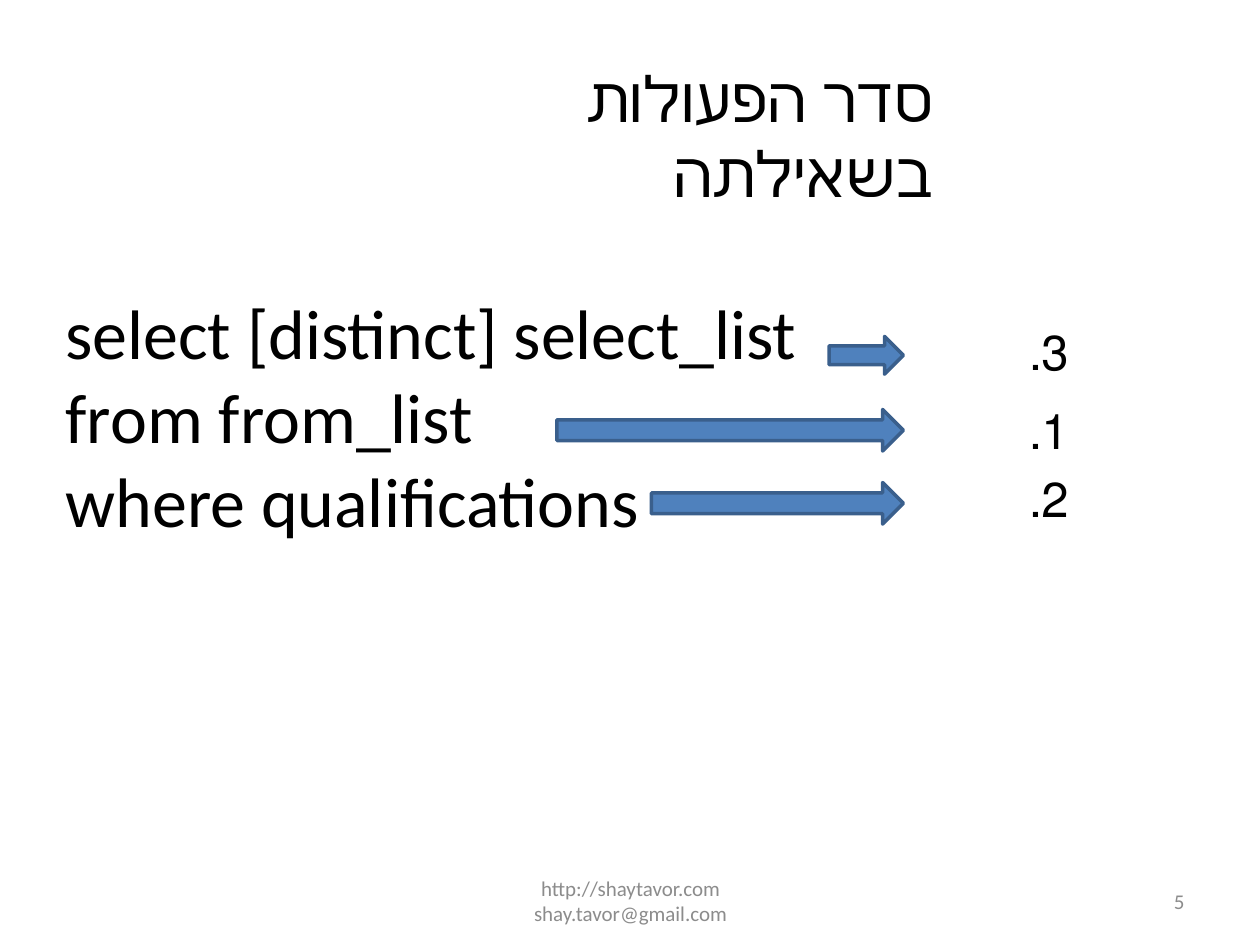
import pptx
import pptx.util
import pptx.dml.color
import pptx.enum.shapes
import pptx.enum.text
from lxml import etree

Inches, Pt = pptx.util.Inches, pptx.util.Pt
RGB = pptx.dml.color.RGBColor.from_string
ALIGN = pptx.enum.text.PP_ALIGN
ANCHOR = pptx.enum.text.MSO_ANCHOR
COLORS = {"text": "000000", "footer": "8C8C8C", "arrow": "4F81BD", "outline": "3A5F8C"}


def place(sp, x, y, w, h):
    sp.left, sp.top, sp.width, sp.height = map(Inches, (x, y, w, h))


def write(sp, lines, size, align, color="text", anchor=ANCHOR.TOP, rtl=False):
    tf = sp.text_frame
    frame = {"word_wrap": True, "vertical_anchor": anchor,
             "auto_size": pptx.enum.text.MSO_AUTO_SIZE.NONE}
    for name, value in frame.items():
        setattr(tf, name, value)
    tf.text = "\n".join(lines)
    for p in tf.paragraphs:
        p.alignment = align
        p.space_before = Pt(0)
        pPr = p._p.get_or_add_pPr()
        for name in ("marL", "indent"):
            pPr.set(name, "0")
        if rtl:
            pPr.set("rtl", "1")
        etree.SubElement(pPr, pptx.oxml.ns.qn("a:buNone"))
        font = p.runs[0].font
        for name, value in {"name": "Calibri", "size": Pt(size)}.items():
            setattr(font, name, value)
        font.color.rgb = RGB(COLORS[color])


prs = pptx.Presentation()
prs.slide_width, prs.slide_height = Inches(10), Inches(7.5)
s = prs.slides.add_slide(prs.slide_layouts[1])

title, query = s.placeholders
place(title, 2.67, 0.42, 4.83, 0.71)
write(title, ["סדר הפעולות בשאילתה"], 36, ALIGN.RIGHT, rtl=True)

place(query, 0.42, 2.25, 6.58, 2.42)
write(query, ["select [distinct] select_list", "from from_list", "where qualifications"],
      40, ALIGN.LEFT)

# Each clause: execution order, arrow left, top and height, number top
ARROW_END = 7.17
steps = [("3.", 6.58, 2.67, 0.3, 2.5),
         ("1.", 4.42, 3.25, 0.33, 3.13),
         ("2.", 5.17, 3.83, 0.33, 3.67)]
for number, x, y, h, number_y in steps:
    arrow = s.shapes.add_shape(pptx.enum.shapes.MSO_SHAPE.RIGHT_ARROW, Inches(x), Inches(y),
                               Inches(ARROW_END - x), Inches(h))
    arrow.shadow.inherit = False
    arrow.fill.solid()
    arrow.fill.fore_color.rgb = RGB(COLORS["arrow"])
    arrow.line.color.rgb = RGB(COLORS["outline"])
    arrow.line.width = Pt(2)
    label = s.shapes.add_textbox(Inches(7.75), Inches(number_y), Inches(0.83), Inches(0.57))
    write(label, [number], 28, ALIGN.RIGHT, rtl=True)

footers = [("http://shaytavor.com shay.tavor@gmail.com", 3.42, 3.17, ALIGN.CENTER),
           ("5", 7.17, 2.33, ALIGN.RIGHT)]
for text, x, w, align in footers:
    footer = s.shapes.add_textbox(Inches(x), Inches(6.95), Inches(w), Inches(0.4))
    write(footer, [text], 12, align, "footer", ANCHOR.MIDDLE)

prs.save("out.pptx")
